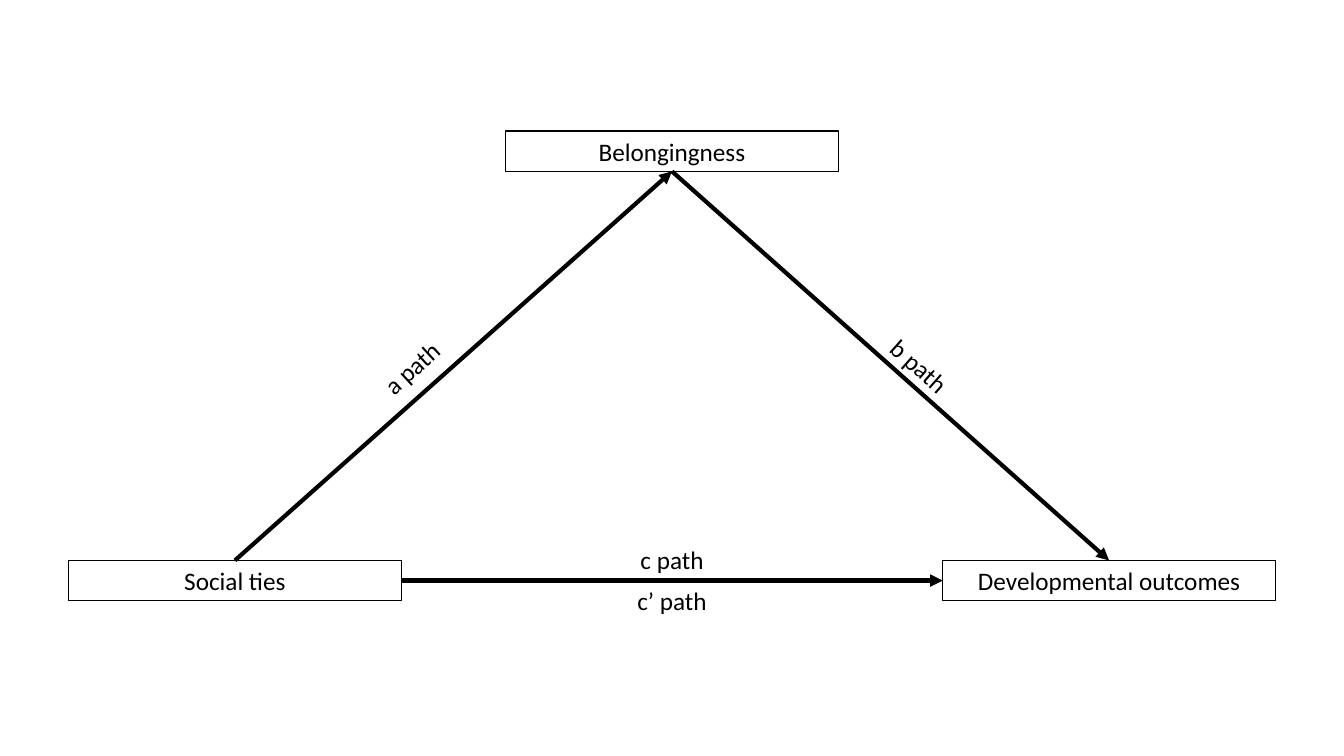
import pptx
import pptx.util
import pptx.dml.color
import pptx.enum.shapes
import pptx.enum.text
import pptx.oxml.ns
import lxml.etree

WIDE, HIGH = 13.33, 7.5
NODE = (3.3, 0.4)
LABEL = (1.55, 0.4)
INK = "000000"
TOP, LEFT, BASE, RIGHT = range(4)


def color(code):
    """Turn a hex string into a colour."""
    return pptx.dml.color.RGBColor.from_string(code)


def inches(*sizes):
    """Turn numbers into lengths."""
    return [pptx.util.Inches(size) for size in sizes]


def write(shape, words):
    """Put one centred run of text in a shape."""
    frame = shape.text_frame
    frame.word_wrap = True
    frame.auto_size = pptx.enum.text.MSO_AUTO_SIZE.SHAPE_TO_FIT_TEXT
    frame.vertical_anchor = pptx.enum.text.MSO_ANCHOR.TOP
    para = frame.paragraphs[0]
    para.alignment = pptx.enum.text.PP_ALIGN.CENTER
    run = para.add_run()
    run.text = words
    run.font.name = "Calibri"
    run.font.size = pptx.util.Pt(18)
    run.font.color.rgb = color(INK)


def stroke(line, width):
    """Set the ink and width of a line."""
    line.color.rgb = color(INK)
    line.width = pptx.util.Pt(width)


def add_node(slide, left, top, words):
    """Draw a framed box with its name."""
    kind = pptx.enum.shapes.MSO_SHAPE.RECTANGLE
    node = slide.shapes.add_shape(kind, *inches(left, top, *NODE))
    node.shadow.inherit = False
    node.fill.background()
    stroke(node.line, 0.75)
    write(node, words)
    return node


def add_arrow(slide, start, out, end, into):
    """Join two nodes with an arrow."""
    kind = pptx.enum.shapes.MSO_CONNECTOR.STRAIGHT
    arrow = slide.shapes.add_connector(kind, 0, 0, 0, 0)
    arrow.begin_connect(start, out)
    arrow.end_connect(end, into)
    stroke(arrow.line, 3)
    name = pptx.oxml.ns.qn
    tip = lxml.etree.SubElement(arrow.line._get_or_add_ln(), name("a:tailEnd"))
    tip.set("type", "triangle")
    lxml.etree.SubElement(arrow.element.spPr, name("a:effectLst"))


def add_label(slide, mid, level, words, turn):
    """Set a turned label about its centre."""
    wide, high = LABEL
    place = inches(mid - wide / 2, level - high / 2, wide, high)
    label = slide.shapes.add_textbox(*place)
    label.rotation = turn
    write(label, words)


def draw_model(slide, left, top, wide, high):
    """Draw the mediation model inside a box."""
    step = (wide - NODE[0]) / 2
    drop = high - NODE[1]
    names = [("Social ties", 1), ("Belongingness", 0),
             ("Developmental outcomes", 1)]
    ties, belong, result = [
        add_node(slide, left + col * step, top + row * drop, words)
        for col, (words, row) in enumerate(names)]
    for joint in [(ties, TOP, belong, BASE), (belong, BASE, result, TOP),
                  (ties, RIGHT, result, LEFT)]:
        add_arrow(slide, *joint)
    labels = [("a path", 28.4, 50.4, 317.6), ("b path", 70.5, 50, 41.4),
              ("c path", 50, 91.2, 0), ("c\u2019 path", 50, 100, 0)]
    for words, across, down, turn in labels:
        add_label(slide, left + wide * across / 100,
                  top + high * down / 100, words, turn)


def main():
    """Build and save the deck."""
    deck = pptx.Presentation()
    deck.slide_width, deck.slide_height = inches(WIDE, HIGH)
    slide = deck.slides.add_slide(deck.slide_layouts[6])
    draw_model(slide, 0.68, 1.3, 11.97, 4.66)
    deck.save("out.pptx")


main()
